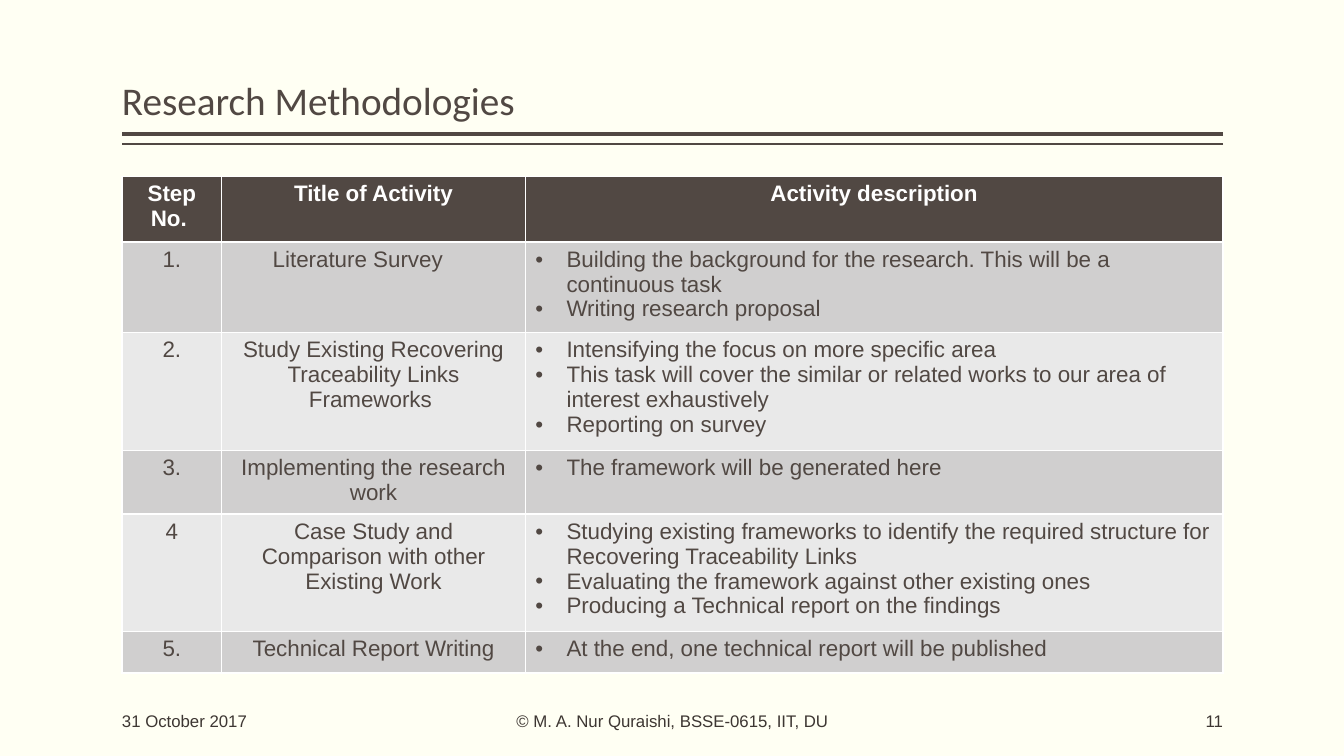
from lxml.etree import SubElement
from pptx import Presentation
from pptx.dml.color import RGBColor
from pptx.enum.shapes import MSO_CONNECTOR
from pptx.enum.text import MSO_ANCHOR, PP_ALIGN
from pptx.oxml.ns import qn
from pptx.util import Pt

PX = 9144  # 100 px to the inch
LEFT, WIDTH = 121, 1092
BULLET_INDENT = 31
COLORS = {name: RGBColor.from_string(value) for name, value in {
    "background": "FFFFF3",
    "brown": "514843",
    "footer": "3D3632",
    "white": "FFFFFF",
    "dark band": "D0CFCF",
    "light band": "E9E9E9",
}.items()}

COLUMN_WIDTHS = [99, 301, 692]
HEADERS = ["Step No. ", "Title of Activity", "Activity description"]
# step, title, description bullets, row height
ACTIVITIES = [
    ("1.", "Literature Survey \t",
     ["Building the background for the research. This will be a continuous task",
      "Writing research proposal"], 84),
    ("2.", "Study Existing Recovering Traceability Links Frameworks ",
     ["Intensifying the focus on more specific area",
      "This task will cover the similar or related works to our area of interest exhaustively",
      "Reporting on survey"], 109),
    ("3.", "Implementing the research work",
     ["The framework will be generated here"], 59),
    ("4", "Case Study and Comparison with other Existing Work",
     ["Studying existing frameworks to identify the required structure for "
      "Recovering Traceability Links",
      "Evaluating the framework against other existing ones",
      "Producing a Technical report on the findings"], 109),
    ("5.", "Technical Report Writing",
     ["At the end, one technical report will be published"], 41),
]


def style_paragraph(paragraph, size, color, font="Arial", align=PP_ALIGN.LEFT, bold=False):
    paragraph.alignment = align
    paragraph.font.name = font
    paragraph.font.size = Pt(size)
    paragraph.font.bold = bold
    paragraph.font.color.rgb = COLORS[color]


def add_text(text, left, top, width, height, anchor):
    """Add a one-paragraph text box without side margins; return the paragraph."""
    box = slide.shapes.add_textbox(left * PX, top * PX, width * PX, height * PX)
    frame = box.text_frame
    frame.word_wrap = True
    frame.vertical_anchor = anchor
    frame.margin_left = frame.margin_right = 0
    frame.text = text
    return frame.paragraphs[0]


presentation = Presentation()
presentation.slide_width = 1333 * PX
presentation.slide_height = 750 * PX
slide = presentation.slides.add_slide(presentation.slide_layouts[6])
slide.background.fill.solid()
slide.background.fill.fore_color.rgb = COLORS["background"]

# Title and the double rule below it
for y, weight in [(133, 3), (143, 1)]:
    rule = slide.shapes.add_connector(
        MSO_CONNECTOR.STRAIGHT, (LEFT + WIDTH) * PX, y * PX, LEFT * PX, y * PX)
    rule.line.color.rgb = COLORS["brown"]
    rule.line.width = Pt(weight)
    SubElement(rule._element.spPr, qn("a:effectLst"))

title = add_text("Research Methodologies", LEFT, 8, WIDTH, 120, MSO_ANCHOR.BOTTOM)
title.line_spacing = 0.9
style_paragraph(title, 28, "brown", font="Calibri")

# Table of activities
row_heights = [65] + [activity[-1] for activity in ACTIVITIES]
table = slide.shapes.add_table(
    len(row_heights), len(COLUMN_WIDTHS),
    LEFT * PX, 175 * PX, WIDTH * PX, sum(row_heights) * PX).table
for column, width in zip(table.columns, COLUMN_WIDTHS):
    column.width = width * PX
for row, height in zip(table.rows, row_heights):
    row.height = height * PX

for cell, header in zip(table.rows[0].cells, HEADERS):
    cell.text = header
    cell.fill.solid()
    cell.fill.fore_color.rgb = COLORS["brown"]
    style_paragraph(cell.text_frame.paragraphs[0], 16, "white",
                    align=PP_ALIGN.CENTER, bold=True)

for index, (step, name, bullets, _) in enumerate(ACTIVITIES):
    cells = list(table.rows[index + 1].cells)
    for cell, text in zip(cells, [step, name, "\n".join(bullets)]):
        cell.text = text
        cell.fill.solid()
        cell.fill.fore_color.rgb = COLORS["light band" if index % 2 else "dark band"]
    for cell in cells[:2]:
        style_paragraph(cell.text_frame.paragraphs[0], 16, "brown", align=PP_ALIGN.CENTER)
    for paragraph in cells[2].text_frame.paragraphs:
        style_paragraph(paragraph, 16, "brown")
        properties = paragraph._p.get_or_add_pPr()
        properties.set("marL", str(BULLET_INDENT * PX))
        properties.set("indent", str(-BULLET_INDENT * PX))
        bullet_font = SubElement(properties, qn("a:buFont"), typeface="Arial")
        bullet = SubElement(properties, qn("a:buChar"), char="•")
        properties.find(qn("a:defRPr")).addprevious(bullet_font)
        bullet_font.addnext(bullet)

# Footer
for text, left, width, align in [
    ("31 October 2017", LEFT, 200, PP_ALIGN.LEFT),
    ("© M. A. Nur Quraishi, BSSE-0615, IIT, DU", 321, 692, PP_ALIGN.CENTER),
    ("11", 1013, 200, PP_ALIGN.RIGHT),
]:
    footer = add_text(text, left, 695, width, 40, MSO_ANCHOR.MIDDLE)
    style_paragraph(footer, 12, "footer", align=align)

presentation.save("out.pptx")
